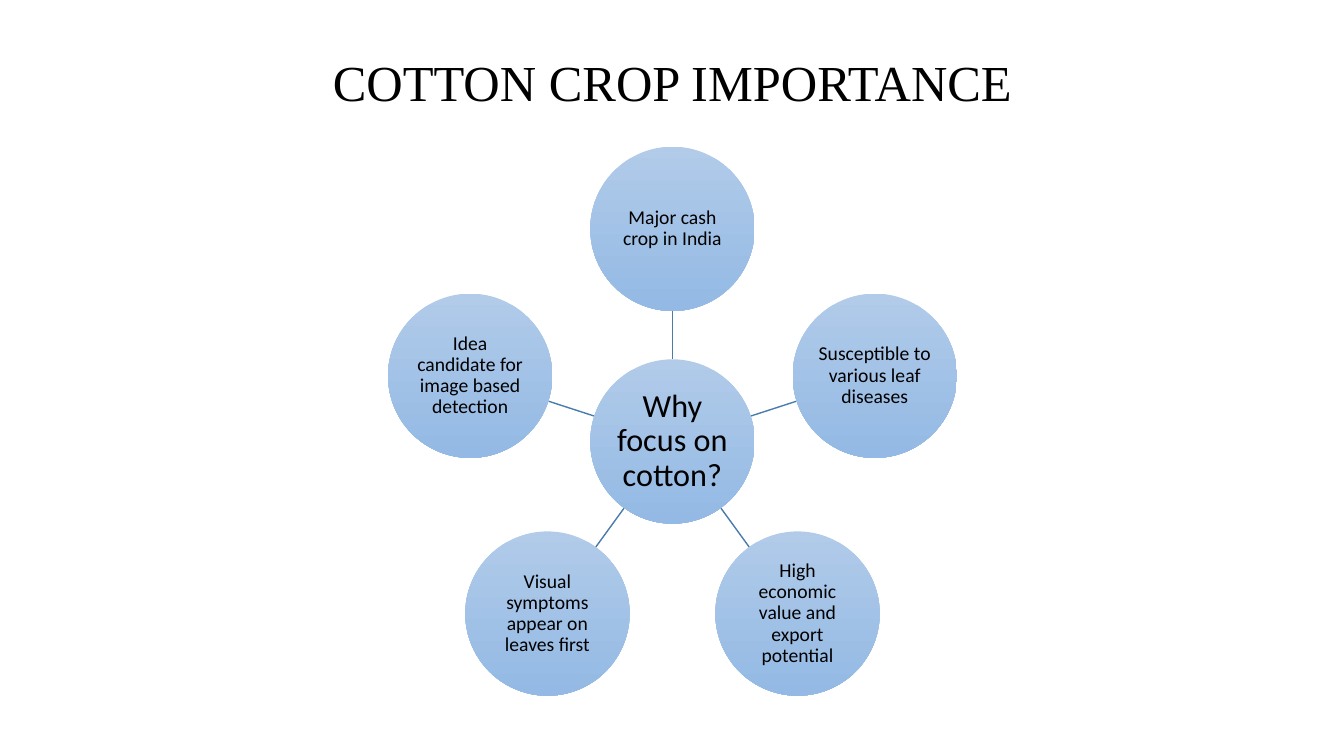
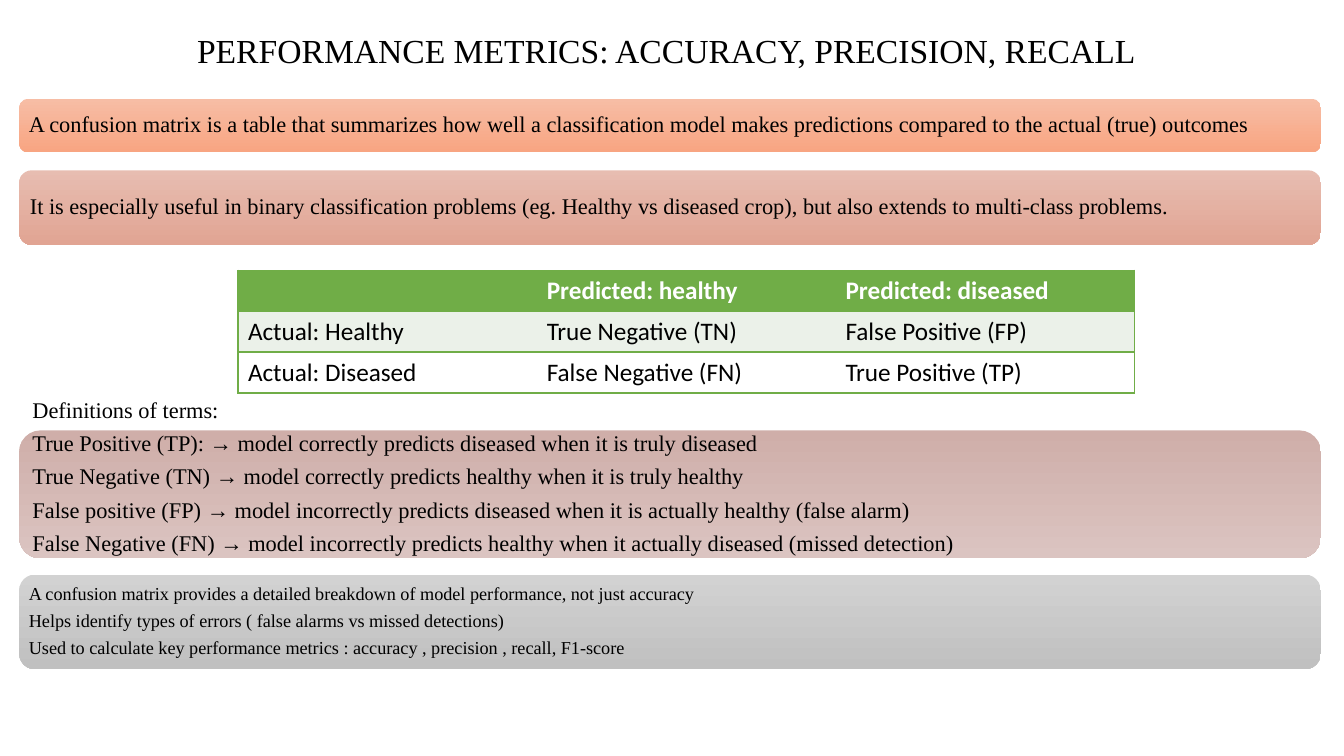
from math import cos, radians, sin

from lxml.etree import SubElement
from pptx import Presentation
from pptx.dml.color import RGBColor
from pptx.enum.shapes import MSO_CONNECTOR, MSO_SHAPE
from pptx.enum.text import MSO_ANCHOR, PP_ALIGN
from pptx.oxml.ns import qn
from pptx.util import Inches, Pt

BLACK = RGBColor(0x00, 0x00, 0x00)
WHITE = RGBColor(0xFF, 0xFF, 0xFF)
GREEN = RGBColor(0x70, 0xAD, 0x47)
PALE_GREEN = RGBColor(0xEB, 0xF1, 0xE9)
SPOKE_BLUE = RGBColor(0x49, 0x7C, 0xAB)
BLUES = RGBColor(0xB1, 0xCB, 0xE9), RGBColor(0x93, 0xB9, 0xE4)
ORANGES = RGBColor(0xF7, 0xBD, 0xA5), RGBColor(0xF8, 0xA5, 0x82)
CORALS = RGBColor(0xE7, 0xBD, 0xB1), RGBColor(0xE1, 0xA4, 0x93)
MAUVES = RGBColor(0xCF, 0xAE, 0xA9), RGBColor(0xDB, 0xC4, 0xC1)
GREYS = RGBColor(0xD2, 0xD2, 0xD2), RGBColor(0xC0, 0xC0, 0xC0)
SERIF, SANS = "Times New Roman", "Calibri"


def write(box, lines, font, align=PP_ALIGN.CENTER, inset=0.1, gap=0):
    """Fill a box with one paragraph per line, centred vertically."""
    frame = box.text_frame
    frame.word_wrap = True
    frame.vertical_anchor = MSO_ANCHOR.MIDDLE
    for side in ("left", "right", "top", "bottom"):
        setattr(frame, f"margin_{side}", Inches(inset))
    for number, line in enumerate(lines):
        para = frame.paragraphs[0] if number == 0 else frame.add_paragraph()
        para.text = line
        para.alignment = align
        para.line_spacing = 0.9
        if number < len(lines) - 1:
            para.space_after = Pt(gap)
        for name, value in font.items():
            setattr(para.font, name, value)
        para.font.color.rgb = BLACK


def add_panel(page, kind, place, colours):
    """Add a borderless shape with a top-to-bottom gradient."""
    panel = page.shapes.add_shape(kind, *map(Inches, place))
    panel.shadow.inherit = False
    panel.line.fill.background()
    panel.fill.gradient()
    panel.fill.gradient_angle = 270
    for stop, colour in zip(panel.fill.gradient_stops, colours):
        stop.color.rgb = colour
    return panel


deck = Presentation()
deck.slide_width, deck.slide_height = Inches(13.33), Inches(7.5)

# Pages and their titles
titles = [
    ("COTTON CROP IMPORTANCE", 36, (0.92, 0.24, 11.5, 1.21)),
    ("PERFORMANCE METRICS: ACCURACY, PRECISION, RECALL", 24, (0.86, 0.15, 11.5, 0.75)),
]
pages = []
for title, size, place in titles:
    page = deck.slides.add_slide(deck.slide_layouts[6])
    box = page.shapes.add_textbox(*map(Inches, place))
    write(box, [title], {"name": SERIF, "size": Pt(size)})
    pages.append(page)
wheel_page, metrics_page = pages

# Wheel: a hub with five reasons around it, clockwise from the top
reasons = [
    "Major cash crop in India",
    "Susceptible to various leaf diseases",
    "High economic value and export potential",
    "Visual symptoms appear on leaves first",
    "Idea candidate for image based detection",
]
HUB_X, HUB_Y, ORBIT, DIAMETER = 6.67, 4.38, 2.11, 1.63
RADIUS = DIAMETER / 2
circles = [("Why focus on cotton?", 23, HUB_X, HUB_Y)]
for number, reason in enumerate(reasons):
    angle = radians(-90 + number * 360 / len(reasons))
    across, down = cos(angle), sin(angle)
    circles.append((reason, 14, HUB_X + ORBIT * across, HUB_Y + ORBIT * down))
    ends = []
    for reach in (RADIUS, ORBIT - RADIUS):
        ends += [Inches(HUB_X + reach * across), Inches(HUB_Y + reach * down)]
    spoke = wheel_page.shapes.add_connector(MSO_CONNECTOR.STRAIGHT, *ends)
    spoke.line.color.rgb = SPOKE_BLUE
    spoke.line.width = Pt(1)
    SubElement(spoke._element.spPr, qn("a:effectLst"))

for text, size, x, y in circles:
    place = (x - RADIUS, y - RADIUS, DIAMETER, DIAMETER)
    circle = add_panel(wheel_page, MSO_SHAPE.OVAL, place, BLUES)
    write(circle, [text], {"name": SANS, "size": Pt(size)}, inset=0.01)

# Metrics: full-width bands as top, height, colours, size, alignment, inset, gap, lines
bands = [
    (0.98, 0.53, ORANGES, 16, PP_ALIGN.JUSTIFY, 0.07, 0, [
        "A confusion matrix is a table that summarizes how well a classification model "
        "makes predictions compared to the actual (true) outcomes",
    ]),
    (1.69, 0.74, CORALS, 16, PP_ALIGN.JUSTIFY, 0.07, 0, [
        "It is especially useful in binary classification problems (eg. Healthy vs "
        "diseased crop), but also extends to multi-class problems.",
    ]),
    (4.27, 1.27, MAUVES, 16, PP_ALIGN.LEFT, 0.07, 6.5, [
        "Definitions of terms:",
        "True Positive (TP): → model correctly predicts diseased when it is truly diseased",
        "True Negative (TN) → model correctly predicts healthy when it is truly healthy",
        "False positive (FP) → model incorrectly predicts diseased when it is actually "
        "healthy (false alarm)",
        "False Negative (FN) → model incorrectly predicts healthy when it actually "
        "diseased (missed detection)",
    ]),
    (5.7, 0.94, GREYS, 13, PP_ALIGN.LEFT, 0.05, 5.2, [
        "A confusion matrix provides a detailed breakdown of model performance, not just accuracy",
        "Helps identify types of errors ( false alarms vs missed detections)",
        "Used to calculate key performance metrics : accuracy , precision , recall, F1-score",
    ]),
]
for top, height, colours, size, align, inset, gap, lines in bands:
    place = (0.19, top, 12.91, height)
    band = add_panel(metrics_page, MSO_SHAPE.ROUNDED_RECTANGLE, place, colours)
    write(band, lines, {"name": SERIF, "size": Pt(size)}, align, inset, gap)
    if lines[0].startswith("Definitions"):
        # The first definition line rises above its band
        band.text_frame.margin_bottom = Inches(0.4)

# Confusion matrix
rows = [
    ("", "Predicted: healthy", "Predicted: diseased"),
    ("Actual: Healthy", "True Negative (TN)", "False Positive (FP)"),
    ("Actual: Diseased", "False Negative (FN)", "True Positive (TP)"),
]
row_fills = [GREEN, PALE_GREEN, WHITE]
place = (2.36, 2.68, 8.89, 1.22)
matrix = metrics_page.shapes.add_table(3, 3, *map(Inches, place)).table
matrix.horz_banding = False
for row, texts in enumerate(rows):
    for column, text in enumerate(texts):
        cell = matrix.cell(row, column)
        edges = {"lnL": column == 0, "lnR": column == 2, "lnT": True, "lnB": True}
        properties = cell._tc.get_or_add_tcPr()
        for tag, visible in edges.items():
            edge = SubElement(properties, qn(f"a:{tag}"), w=str(Pt(1)))
            if visible:
                fill = SubElement(edge, qn("a:solidFill"))
                SubElement(fill, qn("a:srgbClr"), val=str(GREEN))
            else:
                SubElement(edge, qn("a:noFill"))
        cell.fill.solid()
        cell.fill.fore_color.rgb = row_fills[row]
        para = cell.text_frame.paragraphs[0]
        para.text = text
        for name, value in {"name": SANS, "size": Pt(18), "bold": row == 0}.items():
            setattr(para.font, name, value)
        para.font.color.rgb = WHITE if row == 0 else BLACK

deck.save("out.pptx")
